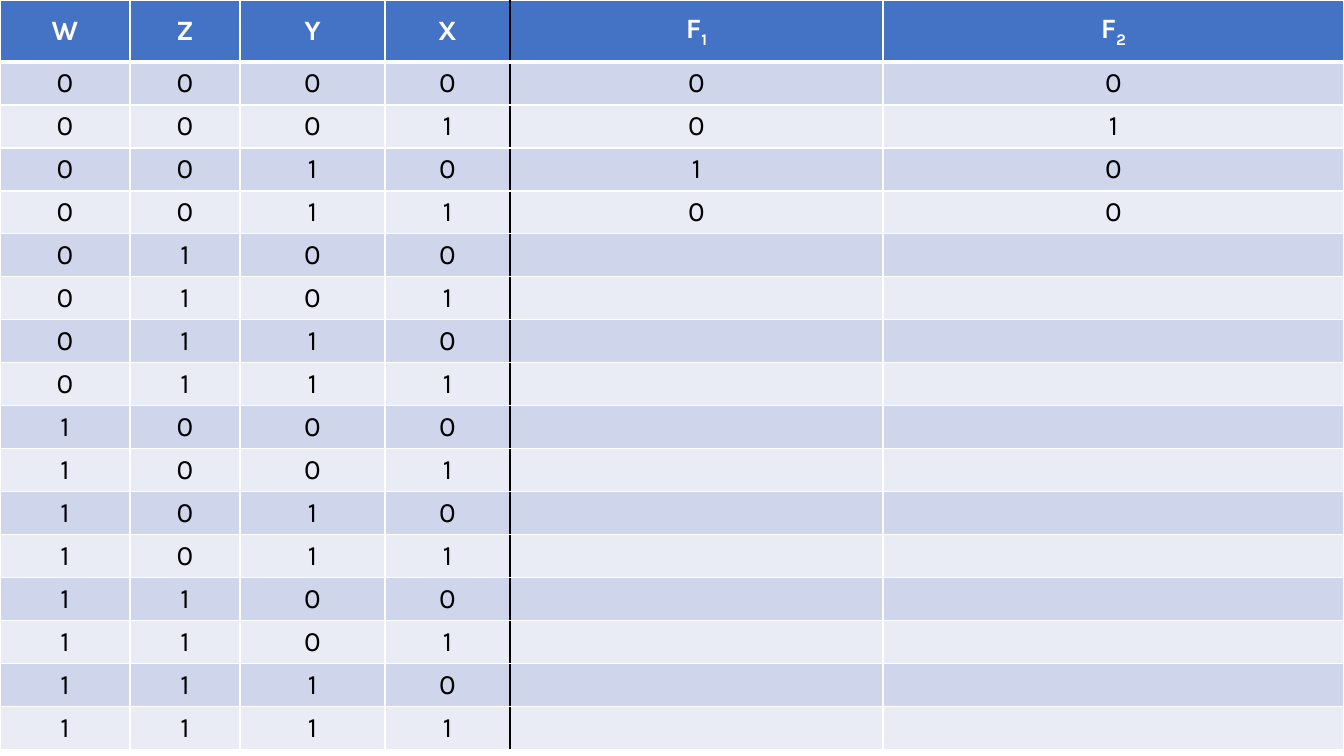
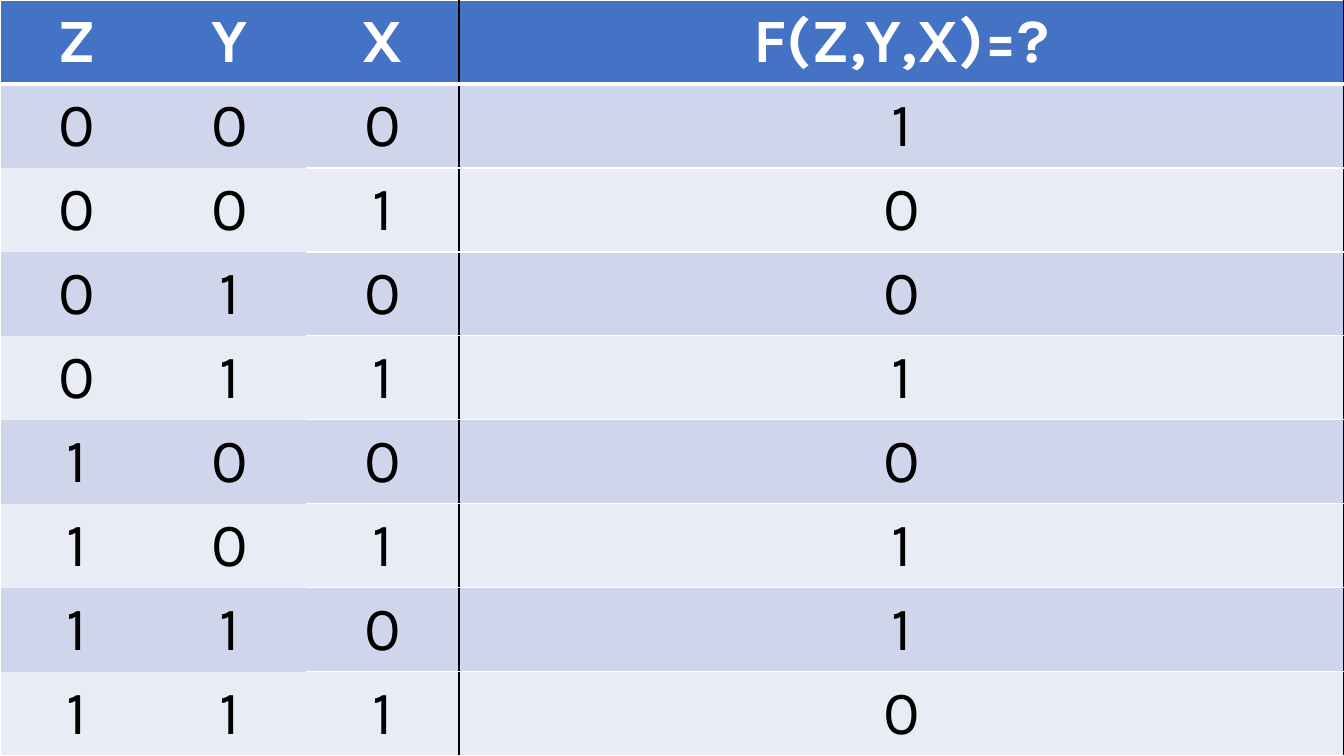
from dataclasses import dataclass
from itertools import product, zip_longest

from lxml import etree
from pptx import Presentation
from pptx.dml.color import RGBColor
from pptx.enum.text import MSO_ANCHOR, PP_ALIGN
from pptx.oxml.ns import qn
from pptx.util import Pt

PX = 9072
SLIDE_W, SLIDE_H = 1344, 756
CENTER = PP_ALIGN.CENTER
MIDDLE = MSO_ANCHOR.MIDDLE
BLANK_LAYOUT = 6


@dataclass(frozen=True)
class Theme:
    font: str = "Karla"
    header: str = "4472C4"
    bands: tuple = ("CFD5EA", "E9EBF5")
    white: str = "FFFFFF"
    black: str = "000000"
    thin: int = 1
    thick: int = 3
    small: int = 20
    large: int = 44


THEME = Theme()


def px(n):
    return n * PX


def set_border(cell, side, color, width):
    tc_pr = cell._tc.get_or_add_tcPr()
    ln = etree.SubElement(tc_pr, qn(f"a:ln{side}"), w=str(Pt(width)))
    if color is None:
        etree.SubElement(ln, qn("a:noFill"))
    else:
        fill = etree.SubElement(ln, qn("a:solidFill"))
        etree.SubElement(fill, qn("a:srgbClr"), val=color)


def write_cell(cell, text, size, color, bold):
    cell.vertical_anchor = MIDDLE
    p = cell.text_frame.paragraphs[0]
    p.alignment = CENTER
    p.font.name = THEME.font
    p.font.size = Pt(size)
    p.font.bold = bold
    p.font.color.rgb = RGBColor.from_string(color)
    base, _, subscript = text.partition("_")
    if base:
        p.add_run().text = base
    if subscript:
        r = p.add_run()
        r.text = subscript
        r.font._element.set("baseline", "-25000")


def rule_between_rows(edge, row_count, ruled):
    if edge == 1:
        return THEME.white, THEME.thick
    if ruled or edge in (0, row_count):
        return THEME.white, THEME.thin
    return None, THEME.thin


def add_truth_table(prs, headers, outputs, widths, heights, size,
                    verticals, unruled=(), header_margin=None):
    s = prs.slides.add_slide(prs.slide_layouts[BLANK_LAYOUT])
    blank = ("",) * len(outputs[0])
    inputs = product("01", repeat=len(headers) - len(blank))
    body = [(*bits, *out)
            for bits, out in zip_longest(inputs, outputs, fillvalue=blank)]
    rows = [headers, *body]
    header_h, row_h = heights
    height = header_h + row_h * len(body)
    table = s.shapes.add_table(len(rows), len(headers), 0, 0,
                               px(sum(widths)), px(height)).table
    table.horz_banding = False
    for column, width in zip(table.columns, widths):
        column.width = px(width)
    for i, values in enumerate(rows):
        is_header = i == 0
        table.rows[i].height = px(header_h if is_header else row_h)
        fill = THEME.header if is_header else THEME.bands[(i - 1) % 2]
        color = THEME.white if is_header else THEME.black
        for j, text in enumerate(values):
            cell = table.cell(i, j)
            ruled = j not in unruled
            set_border(cell, "L", verticals[j], THEME.thin)
            set_border(cell, "R", verticals[j + 1], THEME.thin)
            set_border(cell, "T", *rule_between_rows(i, len(rows), ruled))
            set_border(cell, "B", *rule_between_rows(i + 1, len(rows), ruled))
            cell.fill.solid()
            cell.fill.fore_color.rgb = RGBColor.from_string(fill)
            if is_header and header_margin is not None:
                cell.margin_top = cell.margin_bottom = px(header_margin)
            write_cell(cell, text, size, color, is_header)


def main():
    prs = Presentation()
    prs.slide_width, prs.slide_height = px(SLIDE_W), px(SLIDE_H)
    white, black = THEME.white, THEME.black
    add_truth_table(
        prs,
        headers=("W", "Z", "Y", "X", "F_1", "F_2"),
        outputs=("00", "01", "10", "00"),
        widths=(130, 110, 145, 125, 373, 461),
        heights=(62, 43),
        size=THEME.small,
        verticals=(white, white, white, white, black, white, white),
        header_margin=0,
    )
    add_truth_table(
        prs,
        headers=("Z", "Y", "X", "F(Z,Y,X)=?"),
        outputs="10010110",
        widths=(153, 153, 153, 885),
        heights=(84, 84),
        size=THEME.large,
        verticals=(white, None, None, black, black),
        unruled=(0, 1),
    )
    prs.save("out.pptx")


if __name__ == "__main__":
    main()
